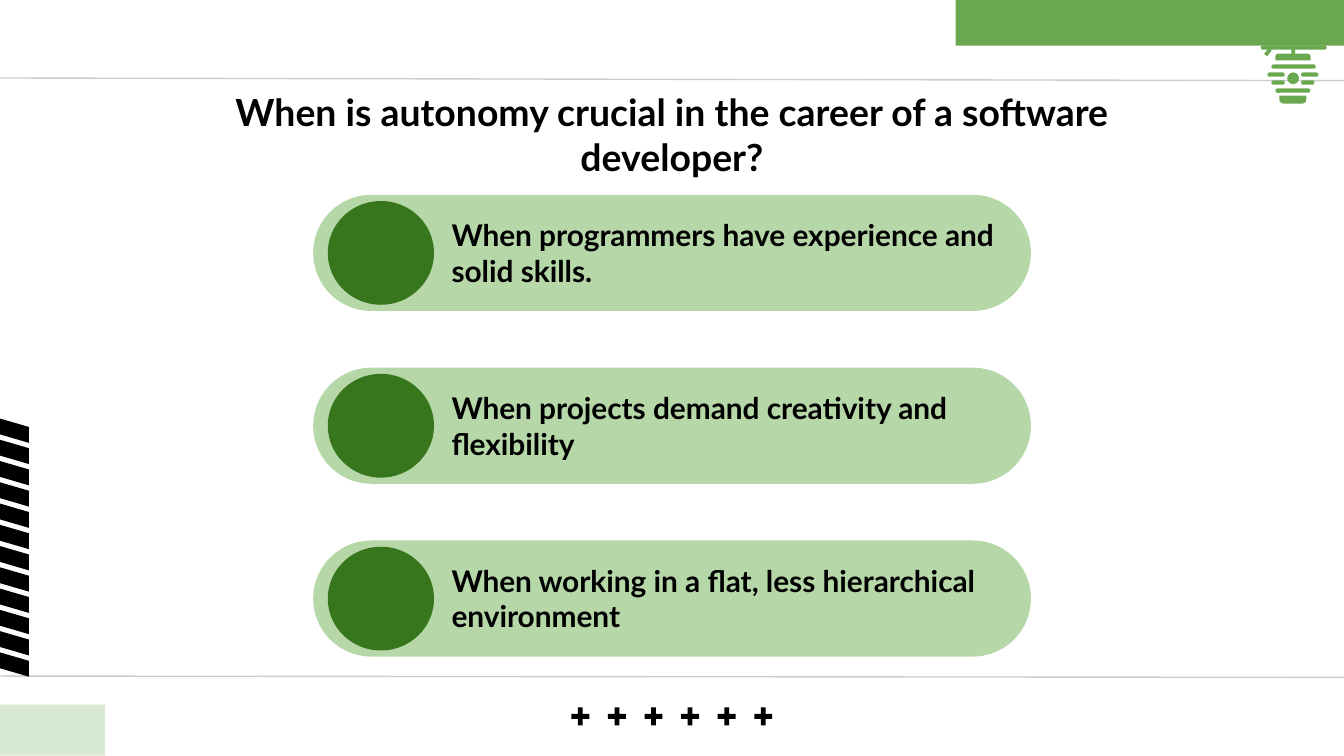
from lxml.etree import SubElement
from pptx import Presentation
from pptx.dml.color import RGBColor
from pptx.enum.shapes import MSO_CONNECTOR, MSO_SHAPE as Shape
from pptx.enum.text import MSO_ANCHOR, MSO_AUTO_SIZE, PP_ALIGN
from pptx.oxml.ns import qn
from pptx.util import Pt

COLORS = {"black": "000000", "line": "CCCCCC", "green": "6AA850",
          "mint": "D9EAD3", "pill": "B6D7A8", "dot": "38761D"}

deck = Presentation()
deck.slide_width = Pt(720)
deck.slide_height = Pt(405)
page = deck.slides.add_slide(deck.slide_layouts[5])


def add_block(kind, left, top, width, height, color, adjust=None):
    block = page.shapes.add_shape(kind, Pt(left), Pt(top), Pt(width), Pt(height))
    block.shadow.inherit = False
    block.fill.solid()
    block.fill.fore_color.rgb = RGBColor.from_string(COLORS[color])
    block.line.fill.background()
    if adjust is not None:
        block.adjustments[0] = adjust
    return block


def write_text(box, text, size, align, anchor):
    frame = box.text_frame
    frame.text = text
    frame.word_wrap = True
    frame.vertical_anchor = anchor
    frame.margin_left = frame.margin_right = Pt(7.2)
    frame.margin_top = frame.margin_bottom = Pt(7.2)
    paragraph = frame.paragraphs[0]
    paragraph.alignment = align
    font = paragraph.runs[0].font
    font.name = "Lato"
    font.size = Pt(size)
    font.bold = True
    font.color.rgb = RGBColor.from_string(COLORS["black"])
    return frame


rules_and_twig = [(-2.9, 41.8, 722.9, 43.2, "line", 0.75),
                  (-2.9, 362.2, 722.9, 362.9, "line", 0.75),
                  (680.5, 26.5, 678, 29.5, "green", 2)]
for x1, y1, x2, y2, color, weight in rules_and_twig:
    rule = page.shapes.add_connector(MSO_CONNECTOR.STRAIGHT, Pt(x1), Pt(y1), Pt(x2), Pt(y2))
    rule.line.color.rgb = RGBColor.from_string(COLORS[color])
    rule.line.width = Pt(weight)
    SubElement(rule._element.spPr, qn("a:effectLst"))

for index in range(12):
    stripe = add_block(Shape.PARALLELOGRAM, -6.5, 215.3 + 11.39 * index, 16.5, 27.4,
                       "black", 0.485)
    stripe.rotation = 90

for index in range(6):
    add_block(Shape.MATH_PLUS, 304.4 + 19.6 * index, 377.3, 13, 13, "black", 0.197)

add_block(Shape.RECTANGLE, 512, -2.9, 209, 27.4, "green")
add_block(Shape.RECTANGLE, -152.6, 377.5, 209, 27.4, "mint")

hive_bars = [(675.4, 24.3, 35.3), (681.1, 34.5, 23.8), (679, 38.8, 9.3), (697, 38.8, 9.3),
             (681.1, 43.1, 7.2), (697, 43.1, 7.2), (683.3, 47.4, 18.7)]
for left, top, width in hive_bars:
    add_block(Shape.ROUNDED_RECTANGLE, left, top, width, 2.3, "green", 0.5)
add_block(Shape.RECTANGLE, 691.8, 26, 2.1, 3, "green")
add_block(Shape.ROUND_2_SAME_RECTANGLE, 683.2, 28.7, 19, 3.7, "green", 0.5)
add_block(Shape.OVAL, 689.6, 38.8, 6.3, 6.3, "green")
hive_base = add_block(Shape.ROUND_2_SAME_RECTANGLE, 685.4, 51.2, 14.4, 4.3, "green", 0.5)
hive_base.rotation = 180

title = page.shapes.title
title.left, title.top, title.width, title.height = Pt(104.4), Pt(49), Pt(511.2), Pt(45.4)
title_frame = write_text(title, "When is autonomy crucial in the career of a software developer?",
                         20, PP_ALIGN.CENTER, MSO_ANCHOR.MIDDLE)
title_frame.auto_size = MSO_AUTO_SIZE.NONE

answers = ["When programmers have experience and solid skills.",
           "When projects demand creativity and flexibility",
           "When working in a flat, less hierarchical environment"]
for index, answer in enumerate(answers):
    top = 104.4 + 92.6 * index
    add_block(Shape.ROUNDED_RECTANGLE, 167.8, top, 384.5, 62.2, "pill", 0.5)
    add_block(Shape.OVAL, 175.6, top + 3.3, 56.9, 55.6, "dot")
    box = page.shapes.add_textbox(Pt(234.8), Pt(top + 4.4), Pt(317.5), Pt(53.2))
    frame = write_text(box, answer, 16, PP_ALIGN.LEFT, MSO_ANCHOR.TOP)
    frame.auto_size = MSO_AUTO_SIZE.SHAPE_TO_FIT_TEXT

deck.save("out.pptx")
